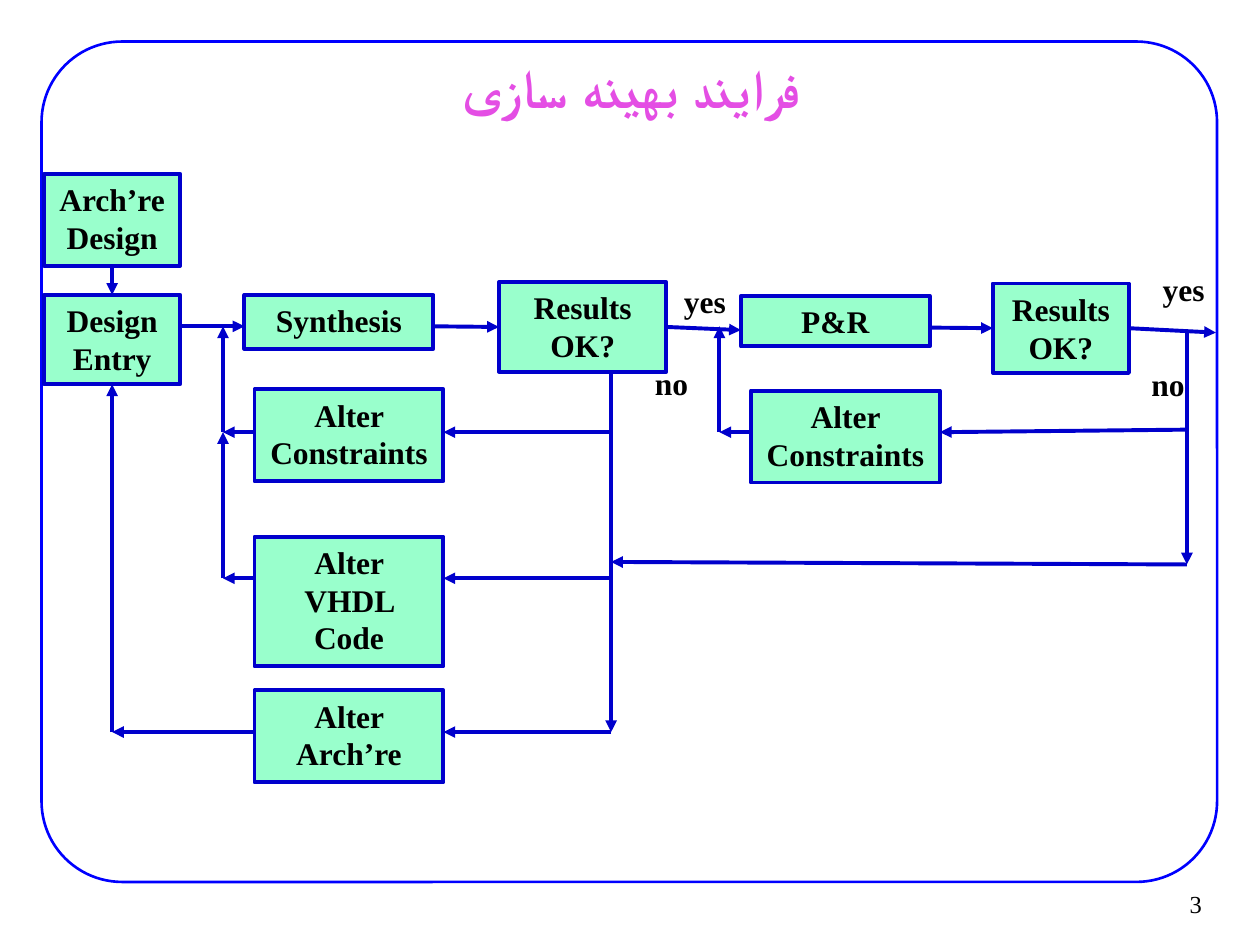
from dataclasses import dataclass

from lxml import etree
from pptx import Presentation
from pptx import util as u
from pptx.dml.color import RGBColor
from pptx.enum import shapes, text
from pptx.oxml.ns import qn

PX = 9144
TOP, LEFT, BOTTOM, RIGHT = range(4)


@dataclass(frozen=True)
class Theme:
    frame: RGBColor = RGBColor(0x00, 0x00, 0xFF)
    line: RGBColor = RGBColor(0x00, 0x00, 0xCC)
    box: RGBColor = RGBColor(0x99, 0xFF, 0xCC)
    title: RGBColor = RGBColor(0xE4, 0x4E, 0xE4)
    ink: RGBColor = RGBColor(0x00, 0x00, 0x00)
    body_font: str = "Times New Roman"
    title_font: str = "Arial"
    title_size: int = 31
    body_size: int = 18
    number_size: int = 14
    frame_width: float = 1.5
    line_width: float = 2.25


THEME = Theme()


def px(*lengths):
    return [u.Emu(length * PX) for length in lengths]


def shifted(origin, point):
    return origin[0] + point[0], origin[1] + point[1]


def write(shape, words, align, size=THEME.body_size, bold=True,
          font=THEME.body_font, color=THEME.ink):
    paragraph = shape.text_frame.paragraphs[0]
    paragraph.alignment = align
    run = paragraph.add_run()
    run.text = words
    run.font.size = u.Pt(size)
    run.font.bold = bold
    run.font.name = font
    run.font.color.rgb = color
    return paragraph


def set_insets(frame, across, down):
    frame.margin_left = frame.margin_right = px(across)[0]
    frame.margin_top = frame.margin_bottom = px(down)[0]


def add_step(slide, origin, place, size, words):
    shape = slide.shapes.add_shape(
        shapes.MSO_SHAPE.RECTANGLE, *px(*shifted(origin, place), *size))
    shape.shadow.inherit = False
    shape.fill.solid()
    shape.fill.fore_color.rgb = THEME.box
    shape.line.color.rgb = THEME.line
    shape.line.width = u.Pt(THEME.line_width)
    shape.text_frame.word_wrap = True
    shape.text_frame.vertical_anchor = text.MSO_ANCHOR.TOP
    set_insets(shape.text_frame, 10, 5)
    write(shape, words, text.PP_ALIGN.CENTER)
    return shape


def add_label(slide, origin, place, words):
    label = slide.shapes.add_textbox(*px(*shifted(origin, place), 83, 40))
    label.text_frame.word_wrap = True
    write(label, words, text.PP_ALIGN.LEFT)


def add_arrow(slide, origin, start, end, start_joint=None, end_joint=None):
    connector = slide.shapes.add_connector(
        shapes.MSO_CONNECTOR.STRAIGHT,
        *px(*shifted(origin, start), *shifted(origin, end)))
    connector.line.color.rgb = THEME.line
    connector.line.width = u.Pt(THEME.line_width)
    etree.SubElement(connector.line._get_or_add_ln(), qn("a:tailEnd"), type="triangle")
    etree.SubElement(connector._element.spPr, qn("a:effectLst"))
    if start_joint:
        connector.begin_connect(*start_joint)
    if end_joint:
        connector.end_connect(*end_joint)


def add_frame(slide, left, top, width, height):
    frame = slide.shapes.add_shape(
        shapes.MSO_SHAPE.ROUNDED_RECTANGLE, *px(left, top, width, height))
    frame.adjustments[0] = 0.096
    frame.shadow.inherit = False
    frame.fill.background()
    frame.line.color.rgb = THEME.frame
    frame.line.width = u.Pt(THEME.frame_width)


def add_title(slide, left, top, width, height):
    title = slide.shapes.title
    title.left, title.top, title.width, title.height = px(left, top, width, height)
    title.text_frame.word_wrap = True
    title.text_frame.vertical_anchor = text.MSO_ANCHOR.MIDDLE
    set_insets(title.text_frame, 11, 6)
    paragraph = write(title, "فرایند بهینه سازی", text.PP_ALIGN.CENTER,
                      THEME.title_size, True, THEME.title_font, THEME.title)
    paragraph._p.get_or_add_pPr().set("rtl", "1")


def add_page_number(slide, left, top, width, height):
    number = slide.shapes.add_textbox(*px(left, top, width, height))
    number.text_frame.word_wrap = False
    number.text_frame.vertical_anchor = text.MSO_ANCHOR.MIDDLE
    set_insets(number.text_frame, 9, 4)
    write(number, "3", text.PP_ALIGN.RIGHT, THEME.number_size, False)


def add_synthesis_flow(slide, left, top):
    origin = left, top
    architecture = add_step(slide, origin, (0, 0), (108, 73), "Arch’re Design")
    entry = add_step(slide, origin, (0, 96), (108, 71), "Design Entry")
    add_step(slide, origin, (159, 96), (150, 43), "Synthesis")
    results = add_step(slide, origin, (361, 86), (133, 71), "Results OK?")

    add_arrow(slide, origin, (54, 73), (54, 96), (architecture, BOTTOM), (entry, TOP))
    add_arrow(slide, origin, (109, 121), (159, 121))
    add_arrow(slide, origin, (309, 121), (361, 121), end_joint=(results, LEFT))

    trunk, merge = 450, 142
    add_arrow(slide, origin, (trunk, 157), (trunk, 443))
    fixes = (("Alter Constraints", 171, 73, 205, merge),
             ("Alter VHDL Code", 288, 103, 321, merge),
             ("Alter Arch’re", 410, 73, 443, 54))
    for words, step_top, height, level, target in fixes:
        add_step(slide, origin, (167, step_top), (150, height), words)
        add_arrow(slide, origin, (trunk, level), (317, level))
        add_arrow(slide, origin, (167, level), (target, level))
    for lower, upper in ((205, 121), (321, 205)):
        add_arrow(slide, origin, (merge, lower), (merge, upper))
    add_arrow(slide, origin, (54, 443), (54, 167), end_joint=(entry, BOTTOM))
    add_label(slide, origin, (475, 146), "no")
    return results


def add_route_flow(slide, left, top, synthesis_results):
    origin = left, top
    add_step(slide, origin, (17, 26), (150, 40), "P&R")
    results = add_step(slide, origin, (217, 16), (108, 71), "Results OK?")
    add_step(slide, origin, (25, 101), (150, 73), "Alter Constraints")

    add_arrow(slide, origin, (-42, 51), (17, 53), start_joint=(synthesis_results, RIGHT))
    add_arrow(slide, origin, (167, 51), (217, 51), end_joint=(results, LEFT))
    add_arrow(slide, origin, (325, 51), (394, 55), start_joint=(results, RIGHT))

    trunk, merge, level = 371, 0, 134
    add_arrow(slide, origin, (trunk, 53), (trunk, 239))
    add_arrow(slide, origin, (trunk, 132), (175, level))
    add_arrow(slide, origin, (25, level), (merge, level))
    add_arrow(slide, origin, (merge, level), (merge, 50))
    add_arrow(slide, origin, (trunk, 239), (-86, 237))

    for place, words in (((-38, 10), "yes"), ((342, 0), "yes"), ((333, 76), "no")):
        add_label(slide, origin, place, words)


def main():
    presentation = Presentation()
    presentation.slide_width, presentation.slide_height = px(1000, 750)
    slide = presentation.slides.add_slide(presentation.slide_layouts[5])
    add_frame(slide, 33, 33, 933, 667)
    add_title(slide, 76, 44, 850, 49)
    synthesis_results = add_synthesis_flow(slide, 35, 138)
    add_route_flow(slide, 571, 209, synthesis_results)
    add_page_number(slide, 902, 699, 61, 37)
    presentation.save("out.pptx")


if __name__ == "__main__":
    main()
